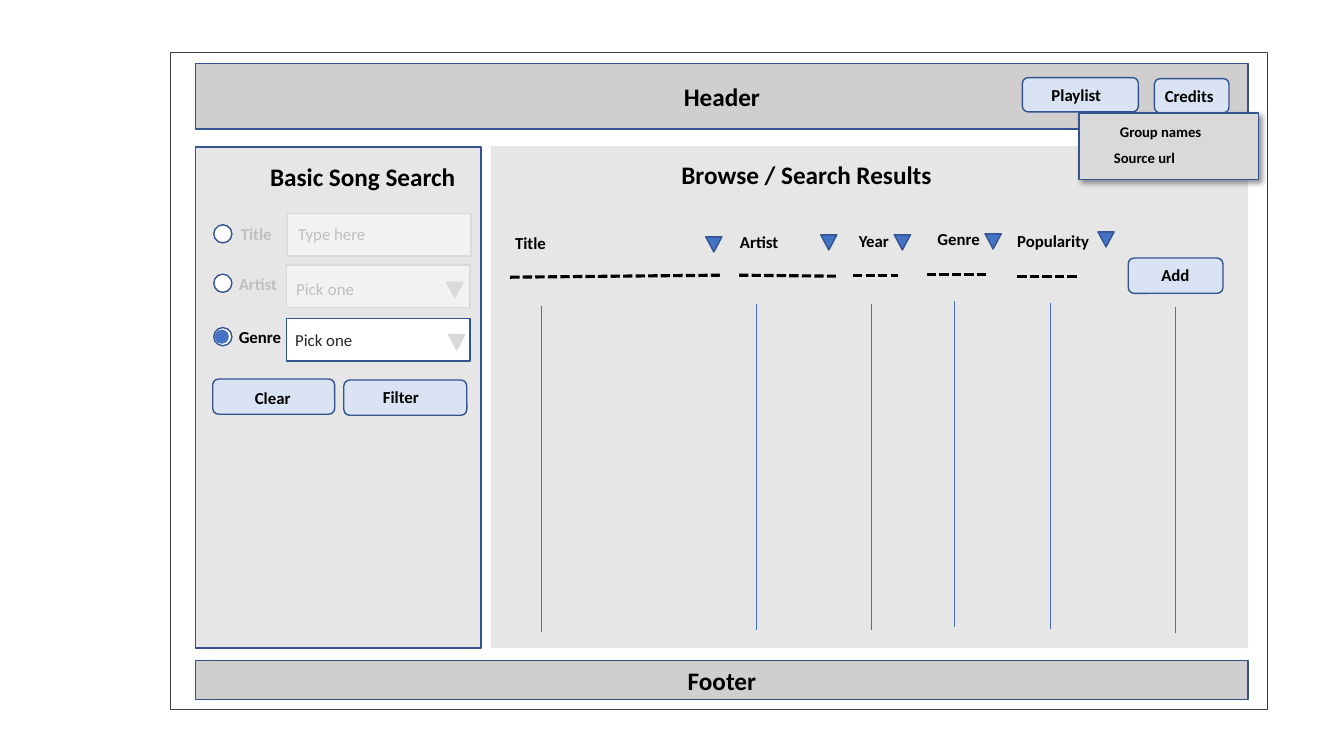
from dataclasses import dataclass
from typing import NamedTuple, Optional

from lxml.etree import SubElement
from pptx import Presentation
from pptx.dml.color import RGBColor
from pptx.enum.dml import MSO_LINE
from pptx.enum.shapes import MSO_CONNECTOR, MSO_SHAPE
from pptx.enum.text import MSO_ANCHOR, MSO_AUTO_SIZE, PP_ALIGN
from pptx.oxml.ns import qn
from pptx.shapes.autoshape import Shape
from pptx.shapes.connector import Connector
from pptx.util import Inches, Pt


@dataclass(frozen=True)
class Theme:
    """Colours, font and type sizes of the wireframe."""
    font: str = "Calibri"
    heading: float = 18
    wide_gap: float = 14
    body: float = 12
    menu: float = 10.5
    black: str = "000000"
    ink: str = "262626"
    frame: str = "404040"
    white: str = "FFFFFF"
    band: str = "D0CECE"
    panel: str = "E7E6E6"
    button: str = "DAE3F3"
    outline: str = "325491"
    accent: str = "4472C4"
    faded_text: str = "BFBFBF"
    faded_line: str = "D9D9D9"
    faded_fill: str = "F2F2F2"


THEME = Theme()


class Box(NamedTuple):
    """Left, top, width and height in inches."""
    left: float
    top: float
    width: float
    height: float


class Point(NamedTuple):
    """A position in inches."""
    left: float
    top: float


class Button(NamedTuple):
    """A rounded button with its caption box."""
    caption: str
    face: Box
    caption_box: Box
    align: Optional[PP_ALIGN] = None


class SearchRow(NamedTuple):
    """A radio button, its label and its input field."""
    label: str
    label_box: Box
    radio_top: float
    field: Point
    prompt: str
    prompt_box: Box
    arrow: Optional[Point] = None
    active: bool = False
    wide_gap: bool = False


class Column(NamedTuple):
    """A results column with its sort arrow, dashed rule and divider."""
    title: str
    title_box: Box
    arrow: Point
    rule_start: Point
    rule_end: Point
    divider: Point


BUTTONS = [
    Button("Filter", Box(3.41, 3.77, 1.22, 0.35), Box(3.7, 3.79, 1.07, 0.3)),
    Button("Add", Box(11.19, 2.56, 0.94, 0.35), Box(11.42, 2.58, 0.6, 0.3)),
    Button("Clear", Box(2.11, 3.76, 1.21, 0.35), Box(2.2, 3.8, 1.01, 0.3), PP_ALIGN.CENTER),
    Button("Credits", Box(11.45, 0.78, 0.74, 0.34), Box(11.45, 0.8, 0.69, 0.3), PP_ALIGN.CENTER),
    Button("Playlist", Box(10.14, 0.77, 1.15, 0.34), Box(10.14, 0.79, 1.07, 0.3), PP_ALIGN.CENTER),
]
SEARCH_ROWS = [
    SearchRow("Title", Box(2.29, 2.17, 0.74, 0.3), 2.23, Point(2.85, 2.12),
              "Type here", Box(2.86, 2.17, 1.23, 0.3)),
    SearchRow("Artist", Box(2.27, 2.67, 0.77, 0.3), 2.72, Point(2.84, 2.63),
              "Pick one", Box(2.84, 2.69, 1.23, 0.34), Point(4.43, 2.8), wide_gap=True),
    SearchRow("Genre", Box(2.27, 3.19, 0.87, 0.3), 3.25, Point(2.84, 3.16),
              "Pick one", Box(2.83, 3.22, 1.23, 0.3), Point(4.45, 3.32), active=True),
]
COLUMNS = [
    Column("Title", Box(5.01, 2.26, 1.05, 0.3), Point(7, 2.35),
           Point(5.06, 2.75), Point(7.14, 2.73), Point(5.37, 3.04)),
    Column("Artist", Box(7.24, 2.25, 1.05, 0.3), Point(8.14, 2.33),
           Point(7.33, 2.73), Point(8.29, 2.74), Point(7.5, 3.02)),
    Column("Year", Box(8.42, 2.24, 0.66, 0.3), Point(8.87, 2.33),
           Point(8.46, 2.73), Point(8.91, 2.73), Point(8.64, 3.02)),
    Column("Genre", Box(9.2, 2.22, 0.66, 0.3), Point(9.77, 2.32),
           Point(9.19, 2.72), Point(9.79, 2.72), Point(9.47, 2.99)),
    Column("Popularity", Box(9.99, 2.24, 0.96, 0.3), Point(10.89, 2.3),
           Point(10.09, 2.74), Point(10.7, 2.74), Point(10.42, 3.01)),
]
ADD_DIVIDER = Point(11.66, 3.05)
DIVIDER_HEIGHT = 3.23


def add_box(shapes, box: Box, fill: Optional[str], line: Optional[str] = THEME.outline,
            kind: MSO_SHAPE = MSO_SHAPE.RECTANGLE) -> Shape:
    """Draw a preset shape with plain fill and outline."""
    shape = shapes.add_shape(kind, *map(Inches, box))
    shape.shadow.inherit = False
    if fill:
        shape.fill.solid()
        shape.fill.fore_color.rgb = RGBColor.from_string(fill)
    else:
        shape.fill.background()
    if line:
        shape.line.color.rgb = RGBColor.from_string(line)
        shape.line.width = Pt(1)
    else:
        shape.line.fill.background()
    return shape


def set_font(target, size: float, color: str, bold: bool) -> None:
    """Set the font of a paragraph or run."""
    target.font.name = THEME.font
    target.font.size = Pt(size)
    target.font.bold = bold
    target.font.color.rgb = RGBColor.from_string(color)


def add_label(shapes, text: str, box: Box, size: float = THEME.body, color: str = THEME.black,
              bold: bool = True, align: Optional[PP_ALIGN] = None, wrap: bool = True,
              wide_gap: bool = False) -> None:
    """Write one line of text in a box that fits it."""
    frame = shapes.add_textbox(*map(Inches, box)).text_frame
    frame.word_wrap = wrap
    frame.auto_size = MSO_AUTO_SIZE.SHAPE_TO_FIT_TEXT
    paragraph = frame.paragraphs[0]
    paragraph.alignment = align
    if not wide_gap:
        paragraph.text = text
        set_font(paragraph, size, color, bold)
        return
    for part in text.partition(" "):
        run = paragraph.add_run()
        run.text = part
        if part == " ":
            set_font(run, THEME.wide_gap, THEME.ink, bold)
        else:
            set_font(run, size, color, bold)


def add_band(shapes, text: str, box: Box) -> None:
    """Draw a full-width band with a centred heading."""
    band = add_box(shapes, box, THEME.band)
    band.text_frame.vertical_anchor = MSO_ANCHOR.MIDDLE
    paragraph = band.text_frame.paragraphs[0]
    paragraph.text = text
    paragraph.alignment = PP_ALIGN.CENTER
    set_font(paragraph, THEME.heading, THEME.black, True)


def add_arrow(shapes, point: Point, fill: str, line: str) -> None:
    """Draw a small triangle that points down."""
    add_box(shapes, Box(*point, 0.16, 0.15), fill, line, MSO_SHAPE.ISOSCELES_TRIANGLE).rotation = 180


def add_line(shapes, start: Point, end: Point, color: str, width: float) -> Connector:
    """Draw a straight line without shadow."""
    line = shapes.add_connector(MSO_CONNECTOR.STRAIGHT, *map(Inches, (*start, *end)))
    line.line.color.rgb = RGBColor.from_string(color)
    line.line.width = Pt(width)
    SubElement(line._element.spPr, qn("a:effectLst"))
    return line


def add_divider(shapes, top: Point) -> None:
    """Draw a thin vertical column line."""
    add_line(shapes, top, Point(top.left, top.top + DIVIDER_HEIGHT), THEME.accent, 0.5)


def add_button(shapes, button: Button) -> None:
    """Draw a button and its caption as one group."""
    group = shapes.add_group_shape().shapes
    add_box(group, button.face, THEME.button, kind=MSO_SHAPE.ROUNDED_RECTANGLE)
    add_label(group, button.caption, button.caption_box, align=button.align)


def add_search_row(shapes, row: SearchRow) -> None:
    """Draw one search option, faded unless active."""
    fill, line = (THEME.white, THEME.outline) if row.active else (THEME.faded_fill, THEME.faded_line)
    add_label(shapes, row.label, row.label_box, color=THEME.black if row.active else THEME.faded_text)
    add_box(shapes, Box(*row.field, 1.82, 0.42), fill, line)
    if row.arrow:
        add_arrow(shapes, row.arrow, THEME.faded_line, THEME.faded_line)
    add_label(shapes, row.prompt, row.prompt_box, bold=False, wide_gap=row.wide_gap,
              color=THEME.ink if row.active else THEME.faded_text)
    add_box(shapes, Box(2.12, row.radio_top, 0.18, 0.18), THEME.white, kind=MSO_SHAPE.OVAL)
    if row.active:
        add_box(shapes, Box(2.13, row.radio_top + 0.02, 0.14, 0.14), THEME.accent, None, MSO_SHAPE.OVAL)


def add_column(shapes, column: Column) -> None:
    """Draw one results column."""
    add_label(shapes, column.title, column.title_box)
    add_arrow(shapes, column.arrow, THEME.accent, THEME.outline)
    rule = add_line(shapes, column.rule_start, column.rule_end, THEME.black, 2.25)
    rule.line.dash_style = MSO_LINE.SQUARE_DOT
    add_divider(shapes, column.divider)


def add_credits_menu(shapes) -> None:
    """Draw the open credits menu with its drop shadow."""
    menu = add_box(shapes, Box(10.7, 1.12, 1.78, 0.66), THEME.faded_line)
    effects = menu._element.spPr.find(qn("a:effectLst"))
    shadow = SubElement(effects, qn("a:outerShdw"), blurRad=str(Pt(4)), dist=str(Pt(3)),
                        dir="2700000", algn="tl", rotWithShape="0")
    color = SubElement(shadow, qn("a:srgbClr"), val=THEME.black)
    SubElement(color, qn("a:alpha"), val="40000")
    add_label(shapes, "Group names", Box(11.01, 1.17, 1.18, 0.28), THEME.menu)
    add_label(shapes, "Source url", Box(10.95, 1.43, 1.06, 0.28), THEME.menu)


def main() -> None:
    """Build and save the wireframe slide."""
    presentation = Presentation()
    presentation.slide_width, presentation.slide_height = Inches(13.33), Inches(7.5)
    shapes = presentation.slides.add_slide(presentation.slide_layouts[6]).shapes
    add_box(shapes, Box(1.69, 0.52, 10.88, 6.52), None, THEME.frame)
    add_band(shapes, "Header", Box(1.94, 0.63, 10.44, 0.65))
    add_band(shapes, "Footer", Box(1.94, 6.55, 10.44, 0.39))
    add_box(shapes, Box(1.94, 1.46, 2.83, 4.97), THEME.panel)
    add_label(shapes, "Basic Song Search", Box(2.58, 1.55, 2.61, 0.4), THEME.heading)
    for row in SEARCH_ROWS:
        add_search_row(shapes, row)
    add_box(shapes, Box(4.87, 1.45, 7.51, 4.98), THEME.panel, None)
    add_label(shapes, "Browse / Search Results", Box(6.66, 1.53, 2.7, 0.4), THEME.heading, wrap=False)
    for column in COLUMNS:
        add_column(shapes, column)
    add_divider(shapes, ADD_DIVIDER)
    for button in BUTTONS:
        add_button(shapes, button)
    add_credits_menu(shapes)
    presentation.save("out.pptx")


if __name__ == "__main__":
    main()
